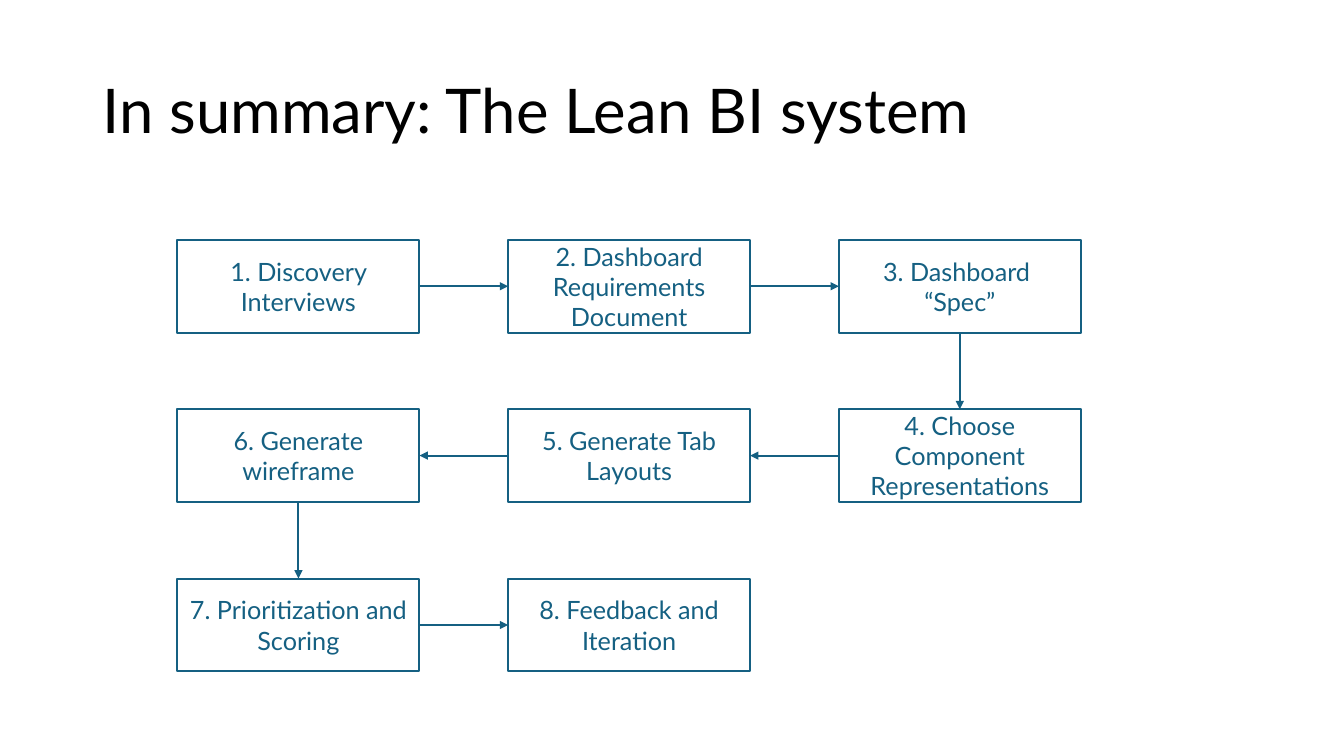
from lxml import etree
from pptx import Presentation
from pptx import util as u
from pptx.dml.color import RGBColor
from pptx.enum import shapes, text
from pptx.oxml.ns import qn

COLORS = {"title": "000000", "flow": "156082"}
FONT = "Lato"

# Flow grid, in inches
GRID_LEFT, GRID_TOP = 1.76, 2.38
COLUMN_STEP, ROW_STEP = 3.28, 1.68
BOX_WIDTH, BOX_HEIGHT = 2.4, 0.92

# Connection sites of a rectangle
TOP, LEFT, BOTTOM, RIGHT = range(4)
SITES = {(1, 0): (RIGHT, LEFT), (-1, 0): (LEFT, RIGHT), (0, 1): (BOTTOM, TOP)}

# Each step: column, row, label
STEPS = [
    (0, 0, "1. Discovery Interviews"),
    (1, 0, "2. Dashboard Requirements Document"),
    (2, 0, "3. Dashboard \n“Spec”"),
    (2, 1, "4. Choose Component Representations"),
    (1, 1, "5. Generate Tab Layouts"),
    (0, 1, "6. Generate wireframe"),
    (0, 2, "7. Prioritization and Scoring"),
    (1, 2, "8. Feedback and Iteration"),
]


def write_text(shape, content, size, color, alignment):
    frame = shape.text_frame
    frame.word_wrap = True
    frame.vertical_anchor = text.MSO_ANCHOR.MIDDLE
    paragraph = frame.paragraphs[0]
    paragraph.text = content
    paragraph.alignment = alignment
    paragraph.font.name = FONT
    paragraph.font.size = u.Pt(size)
    paragraph.font.color.rgb = RGBColor.from_string(COLORS[color])
    return paragraph


def style_line(line):
    line.color.rgb = RGBColor.from_string(COLORS["flow"])
    line.width = u.Pt(1.5)


def add_title(slide, content):
    shape = slide.shapes.add_textbox(
        u.Inches(0.92), u.Inches(0.4), u.Inches(11.5), u.Inches(1.45))
    paragraph = write_text(shape, content, 44, "title", text.PP_ALIGN.LEFT)
    paragraph.line_spacing = 0.9


def add_step(slide, column, row, label):
    shape = slide.shapes.add_shape(
        shapes.MSO_SHAPE.RECTANGLE,
        u.Inches(GRID_LEFT + column * COLUMN_STEP),
        u.Inches(GRID_TOP + row * ROW_STEP),
        u.Inches(BOX_WIDTH), u.Inches(BOX_HEIGHT))
    shape.shadow.inherit = False
    shape.fill.background()
    style_line(shape.line)
    write_text(shape, label, 18, "flow", text.PP_ALIGN.CENTER)
    return shape


def add_arrow(slide, start, end, direction):
    connector = slide.shapes.add_connector(
        shapes.MSO_CONNECTOR.STRAIGHT, 0, 0, 0, 0)
    start_site, end_site = SITES[direction]
    connector.begin_connect(start, start_site)
    connector.end_connect(end, end_site)
    style_line(connector.line)
    # Arrowhead and no shadow
    properties = connector._element.spPr
    etree.SubElement(properties.find(qn("a:ln")), qn("a:tailEnd"), type="triangle")
    etree.SubElement(properties, qn("a:effectLst"))


def main():
    presentation = Presentation()
    presentation.slide_width = u.Inches(13.33)
    presentation.slide_height = u.Inches(7.5)
    slide = presentation.slides.add_slide(presentation.slide_layouts[6])

    add_title(slide, "In summary: The Lean BI system")

    # Steps, then an arrow from each to the next
    boxes = [add_step(slide, *step) for step in STEPS]
    for index in range(len(STEPS) - 1):
        column, row, _ = STEPS[index]
        next_column, next_row, _ = STEPS[index + 1]
        direction = (next_column - column, next_row - row)
        add_arrow(slide, boxes[index], boxes[index + 1], direction)

    presentation.save("out.pptx")


if __name__ == "__main__":
    main()
